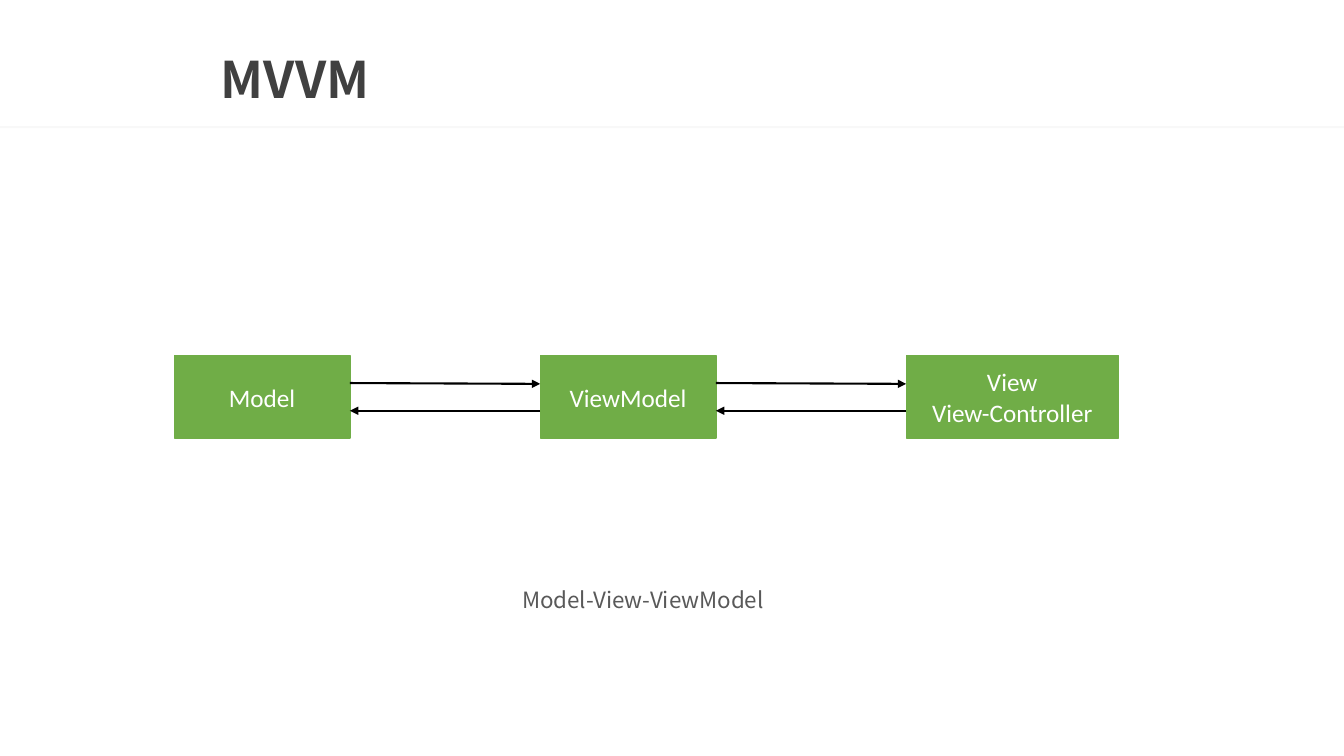
from pptx import Presentation
from pptx.dml.color import RGBColor
from pptx.enum.shapes import MSO_CONNECTOR, MSO_SHAPE
from pptx.enum.text import MSO_ANCHOR, PP_ALIGN
from pptx.oxml.ns import qn
from pptx.util import Pt
from lxml.etree import SubElement


class Deck:
    """Draws styled elements on the current slide."""

    cols = {"green": "70AD47", "white": "FFFFFF", "black": "000000",
            "title": "404040", "body": "595959", "rule": "EAEAEA"}
    sans = "Noto Sans CJK SC"

    def __init__(self):
        self.prs = Presentation()
        self.prs.slide_width, self.prs.slide_height = Pt(960), Pt(540)
        self.slide = self.prs.slides.add_slide(self.prs.slide_layouts[6])

    def color(self, name):
        return RGBColor.from_string(self.cols[name])

    def words(self, shape, text, size, font, color, align, space=None, bold=False):
        frame = shape.text_frame
        frame.word_wrap = True
        frame.vertical_anchor = MSO_ANCHOR.MIDDLE
        frame.text = text
        for para in frame.paragraphs:
            para.alignment = align
            if space:
                para.line_spacing = space
            para.font.size, para.font.name = Pt(size), font
            para.font.bold = bold
            para.font.color.rgb = self.color(color)

    def label(self, x, y, w, h, text, *style, **more):
        box = self.slide.shapes.add_textbox(Pt(x), Pt(y), Pt(w), Pt(h))
        self.words(box, text, *style, **more)

    def rect(self, x, y, w, h, color):
        shape = self.slide.shapes.add_shape(
            MSO_SHAPE.RECTANGLE, Pt(x), Pt(y), Pt(w), Pt(h))
        shape.shadow.inherit = False
        shape.fill.solid()
        shape.fill.fore_color.rgb = self.color(color)
        return shape

    def rule(self, y, h):
        shape = self.rect(0, y, 960, h, "rule")
        shape.line.fill.background()
        tint = shape._element.spPr.find(".//" + qn("a:srgbClr"))
        SubElement(tint, qn("a:alpha"), val="32000")

    def node(self, x, y, w, h, text):
        shape = self.rect(x, y, w, h, "green")
        shape.line.color.rgb = self.color("green")
        shape.line.width = Pt(1)
        self.words(shape, text, 18, "Calibri", "white", PP_ALIGN.CENTER)

    def arrow(self, x1, y1, x2, y2):
        line = self.slide.shapes.add_connector(
            MSO_CONNECTOR.STRAIGHT, Pt(x1), Pt(y1), Pt(x2), Pt(y2))
        line.line.color.rgb = self.color("black")
        line.line.width = Pt(1.5)
        props = line._element.spPr
        SubElement(props.find(qn("a:ln")), qn("a:tailEnd"), type="triangle")
        SubElement(props, qn("a:effectLst"))


def main():
    deck = Deck()
    deck.rule(90, 1.5)
    deck.label(150.5, 31, 794, 56, "MVVM", 36, deck.sans, "title",
               PP_ALIGN.LEFT, space=0.9, bold=True)
    left, top, wide, high, step = 124.5, 254, 125.5, 59, 261.4
    nodes = [("Model", wide), ("ViewModel", wide), ("View\nView-Controller", 151.5)]
    for i, (text, width) in enumerate(nodes):
        deck.node(left + i * step, top, width, high, text)
    for i in range(len(nodes) - 1):
        start = left + i * step + wide
        end = left + (i + 1) * step
        deck.arrow(start, 273.6, end, 274.2)
        deck.arrow(end, 293.4, start, 293.4)
    deck.label(335.5, 409, 247.5, 35, "Model-View-ViewModel", 16, deck.sans,
               "body", PP_ALIGN.CENTER, space=Pt(22))
    deck.prs.save("out.pptx")


if __name__ == "__main__":
    main()
